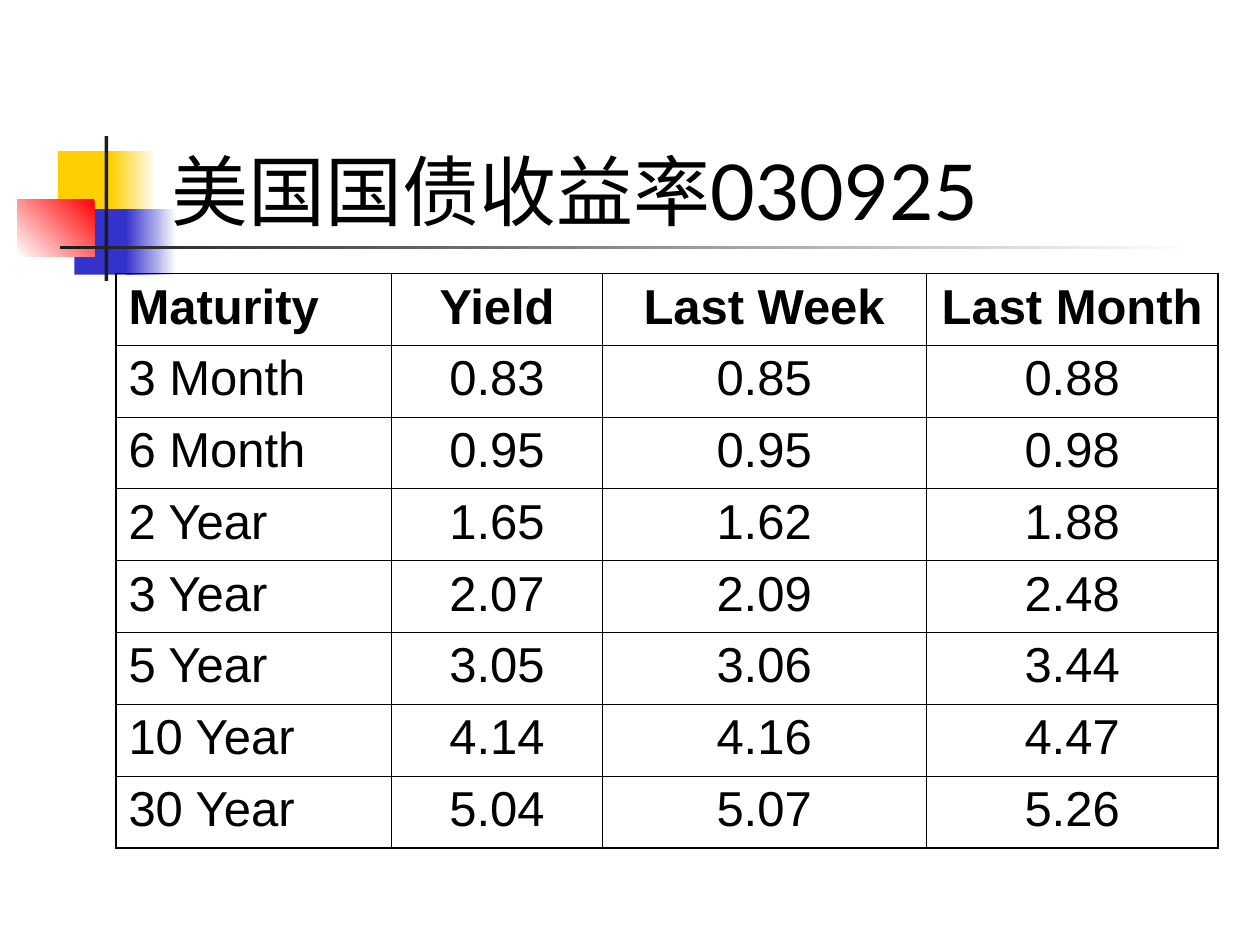
from lxml.etree import SubElement
from pptx import Presentation
from pptx.dml.color import RGBColor
from pptx.enum.shapes import MSO_SHAPE
from pptx.enum.text import MSO_ANCHOR, PP_ALIGN
from pptx.oxml.ns import qn
from pptx.util import Inches, Pt

BLACK = RGBColor(0x00, 0x00, 0x00)
WHITE = RGBColor(0xFF, 0xFF, 0xFF)
YELLOW = RGBColor(0xFF, 0xCF, 0x01)
BLUE = RGBColor(0x33, 0x33, 0xCC)
RED = RGBColor(0xFF, 0x00, 0x00)
CHARCOAL = RGBColor(0x1C, 0x1C, 0x1C)

OUTER_WIDTH, INNER_WIDTH = Pt(1.08), Pt(0.45)
COLUMN_WIDTHS = (2.19, 1.67, 2.57, 2.32)
YIELDS = (
    ("Maturity", "Yield", "Last Week", "Last Month"),
    ("3 Month", "0.83", "0.85", "0.88"),
    ("6 Month", "0.95", "0.95", "0.98"),
    ("2 Year", "1.65", "1.62", "1.88"),
    ("3 Year", "2.07", "2.09", "2.48"),
    ("5 Year", "3.05", "3.06", "3.44"),
    ("10 Year", "4.14", "4.16", "4.47"),
    ("30 Year", "5.04", "5.07", "5.26"),
)


def write_text(frame, text, *, font="Arial", size=28, bold=False,
               align=PP_ALIGN.LEFT):
    paragraph = frame.paragraphs[0]
    paragraph.alignment = align
    run = paragraph.add_run()
    run.text = text
    run.font.name = font
    run.font.size = Pt(size)
    run.font.bold = bold
    run.font.color.rgb = BLACK


def add_block(slide, left, top, width, height, colors, angle=180):
    """Draw a borderless rectangle; two colors make a gradient, with a clockwise angle."""
    block = slide.shapes.add_shape(
        MSO_SHAPE.RECTANGLE,
        Inches(left), Inches(top), Inches(width), Inches(height))
    block.shadow.inherit = False
    block.line.fill.background()
    if len(colors) == 1:
        block.fill.solid()
        block.fill.fore_color.rgb = colors[0]
        return
    block.fill.gradient()
    block.fill.gradient_angle = 360 - angle
    for stop, color, position in zip(block.fill.gradient_stops, colors, (0, 1)):
        stop.color.rgb = color
        stop.position = position


def add_ornament(slide, left, top):
    """Draw the overlapping squares and the crossed rules beside the title."""
    add_block(slide, left + 0.32, top + 0.12, 0.48, 0.52, [YELLOW])
    add_block(slide, left + 0.74, top + 0.12, 0.36, 0.52, [WHITE, YELLOW])
    add_block(slide, left + 0.45, top + 0.58, 0.46, 0.52, [BLUE])
    add_block(slide, left + 0.86, top + 0.58, 0.4, 0.52, [WHITE, BLUE])
    add_block(slide, left, top + 0.5, 0.61, 0.46, [RED, WHITE], angle=135)
    add_block(slide, left + 0.69, top, 0.03, 1.15, [CHARCOAL])
    add_block(slide, left + 0.34, top + 0.87, 9, 0.03, [WHITE, CHARCOAL])


def add_title(slide, left, top, width, height):
    title = slide.shapes.add_textbox(
        Inches(left), Inches(top), Inches(width), Inches(height)).text_frame
    title.word_wrap = True
    title.vertical_anchor = MSO_ANCHOR.BOTTOM
    write_text(title, "美国国债收益率030925", font="Lato", size=44)


def set_borders(cell, outer_sides):
    properties = cell._tc.get_or_add_tcPr()
    for side in "LRTB":
        width = OUTER_WIDTH if side in outer_sides else INNER_WIDTH
        border = SubElement(properties, qn(f"a:ln{side}"), w=str(width))
        fill = SubElement(border, qn("a:solidFill"))
        SubElement(fill, qn("a:srgbClr"), val=str(BLACK))


def add_yield_table(slide, left, top, width, height):
    last_row, last_column = len(YIELDS) - 1, len(COLUMN_WIDTHS) - 1
    table = slide.shapes.add_table(
        len(YIELDS), len(COLUMN_WIDTHS),
        Inches(left), Inches(top), Inches(width), Inches(height)).table
    table.horz_banding = False
    for column, column_width in zip(table.columns, COLUMN_WIDTHS):
        column.width = Inches(column_width)
    for r, values in enumerate(YIELDS):
        for c, value in enumerate(values):
            cell = table.cell(r, c)
            edges = {"L": c == 0, "R": c == last_column,
                     "T": r == 0, "B": r == last_row}
            set_borders(cell, [side for side, outer in edges.items() if outer])
            cell.fill.background()
            write_text(cell.text_frame, value, bold=r == 0,
                       align=PP_ALIGN.CENTER if c else PP_ALIGN.LEFT)


def main():
    deck = Presentation()
    deck.slide_width, deck.slide_height = Inches(10), Inches(7.5)
    slide = deck.slides.add_slide(deck.slide_layouts[6])
    add_ornament(slide, 0.14, 1.08)
    add_title(slide, 1.26, 0.67, 8.52, 1.25)
    add_yield_table(slide, 0.92, 2.17, sum(COLUMN_WIDTHS), 4.56)
    deck.save("out.pptx")


if __name__ == "__main__":
    main()
